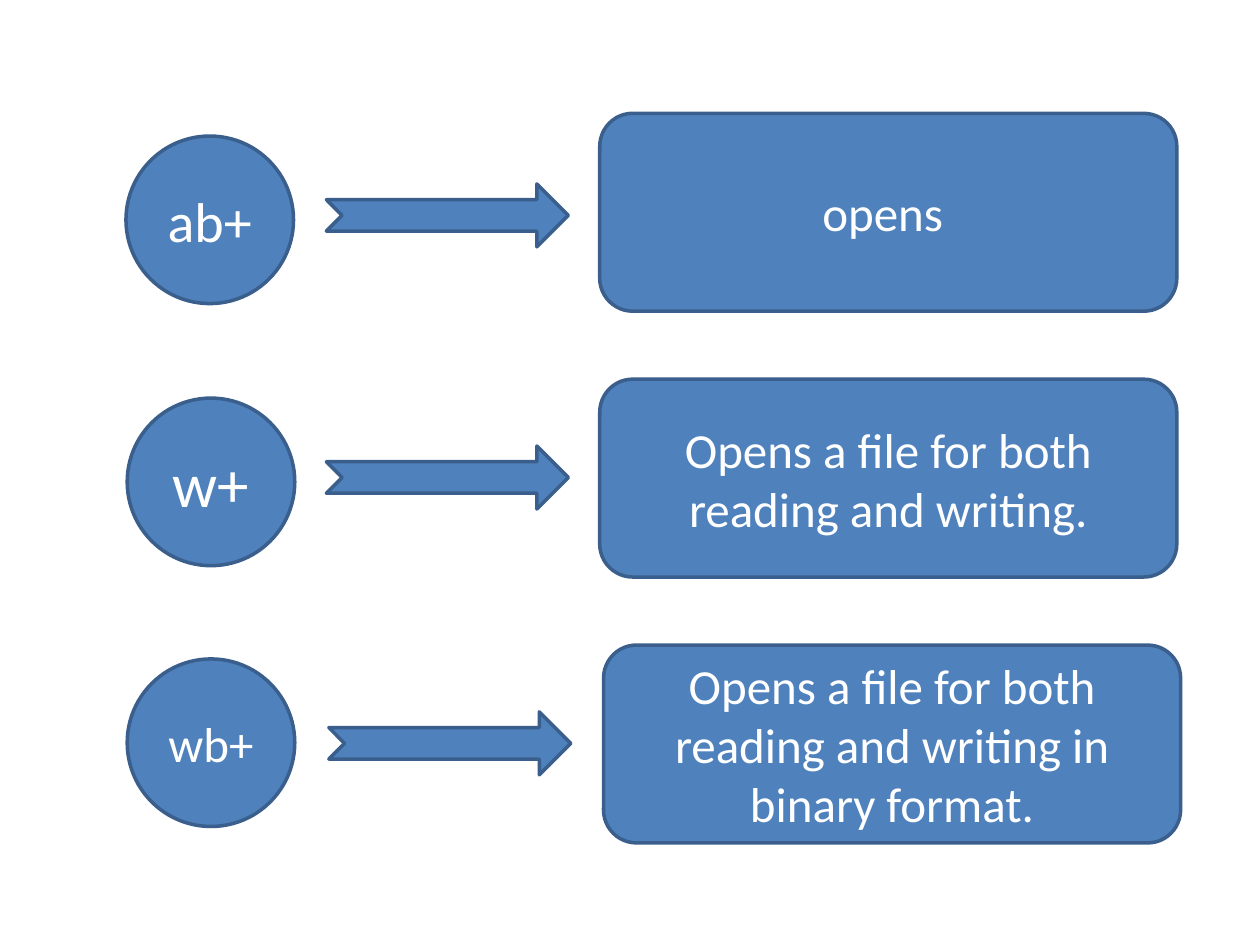
from pptx import Presentation
from pptx.dml.color import RGBColor
from pptx.enum.shapes import MSO_SHAPE
from pptx.enum.text import MSO_ANCHOR, PP_ALIGN
from pptx.util import Inches, Pt

CIRCLE = MSO_SHAPE.OVAL
ARROW = MSO_SHAPE.NOTCHED_RIGHT_ARROW
ROUNDED = MSO_SHAPE.ROUNDED_RECTANGLE
MIDDLE = MSO_ANCHOR.MIDDLE
CENTER = PP_ALIGN.CENTER

COLORS = {"fill": "4F81BD", "line": "3A5F8C", "text": "FFFFFF"}
BLANK_LAYOUT = 6
ROW_LEFT, ROW_TOP, ROW_PITCH = 1, 0.9, 2.11
CIRCLE_SIZE = 1.33
ARROW_WIDTH, ARROW_HEIGHT = 1.92, 0.5
BOX_WIDTH, BOX_HEIGHT = 4.58, 1.57

MODES = [
    {"mode": "ab+", "size": 32, "meaning": "opens ",
     "circle": (0, 0.18), "arrow": (1.59, 0.56), "box": (3.76, 0)},
    {"mode": "w+", "size": 36, "meaning": "Opens a file for both reading and writing.",
     "circle": (0.01, 0.15), "arrow": (1.59, 0.53), "box": (3.76, 0)},
    {"mode": "wb+", "size": 28,
     "meaning": "Opens a file for both reading and writing in binary format.",
     "circle": (0.01, 0.11), "arrow": (1.61, 0.53), "box": (3.79, 0)},
]


def add_block(slide, kind, left, top, width, height, text="", size=28):
    shape = slide.shapes.add_shape(
        kind, Inches(left), Inches(top), Inches(width), Inches(height))
    shape.shadow.inherit = False
    shape.fill.solid()
    shape.fill.fore_color.rgb = RGBColor.from_string(COLORS["fill"])
    shape.line.color.rgb = RGBColor.from_string(COLORS["line"])
    shape.line.width = Pt(2)
    if text:
        frame = shape.text_frame
        frame.word_wrap = True
        frame.vertical_anchor = MIDDLE
        paragraph = frame.paragraphs[0]
        paragraph.alignment = CENTER
        run = paragraph.add_run()
        run.text = text
        for name, value in {"name": "Calibri", "size": Pt(size)}.items():
            setattr(run.font, name, value)
        run.font.color.rgb = RGBColor.from_string(COLORS["text"])


def add_mode_row(slide, left, top, row):
    parts = [
        (CIRCLE, "circle", CIRCLE_SIZE, CIRCLE_SIZE, row["mode"], row["size"]),
        (ARROW, "arrow", ARROW_WIDTH, ARROW_HEIGHT, "", 28),
        (ROUNDED, "box", BOX_WIDTH, BOX_HEIGHT, row["meaning"], 28),
    ]
    for kind, part, width, height, text, size in parts:
        across, down = row[part]
        add_block(slide, kind, left + across, top + down, width, height, text, size)


def main():
    presentation = Presentation()
    presentation.slide_width = Inches(10)
    presentation.slide_height = Inches(7.5)
    slide = presentation.slides.add_slide(presentation.slide_layouts[BLANK_LAYOUT])
    for index, row in enumerate(MODES):
        add_mode_row(slide, ROW_LEFT, ROW_TOP + index * ROW_PITCH, row)
    presentation.save("out.pptx")


if __name__ == "__main__":
    main()
